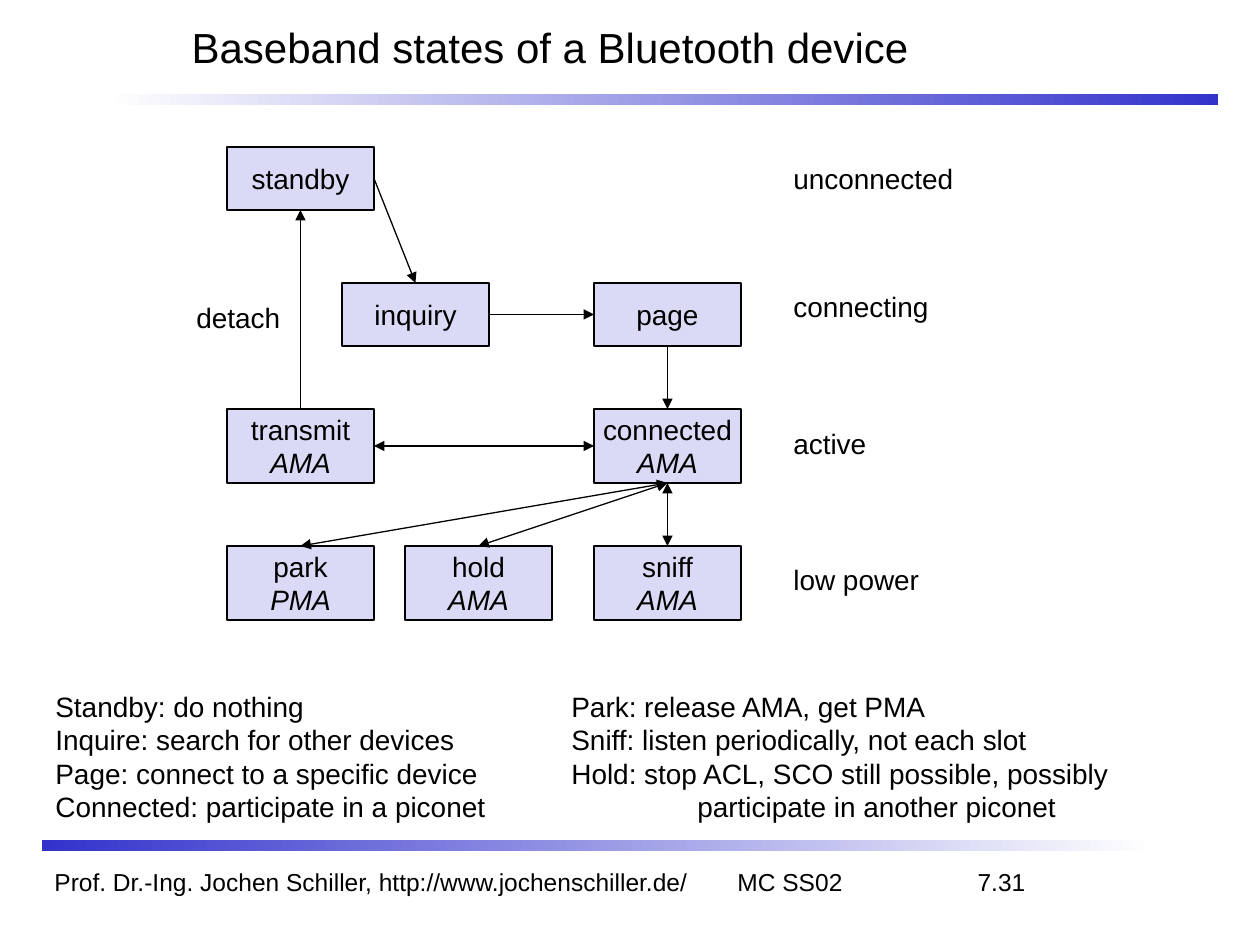
from lxml.etree import SubElement
from pptx import Presentation
from pptx.dml.color import RGBColor
from pptx.enum.shapes import MSO_CONNECTOR as Link, MSO_SHAPE as Shape
from pptx.enum.text import MSO_ANCHOR as Anchor, MSO_AUTO_SIZE as Fit, PP_ALIGN as Align
from pptx.oxml.ns import qn
from pptx.util import Pt

PX = 914400 / 126
HUES = {"ink": "000000", "box": "DADAF6", "bar": "3333CC", "paper": "FFFFFF"}
FONT = "Arial"
TOP, LEFT, BOTTOM, RIGHT = range(4)

# name: (left, top, height, address line)
STATES = {
    "standby": (0, 0, 63, None),
    "inquiry": (115, 136, 63, None),
    "page": (367, 136, 63, None),
    "connected": (367, 262, 74, "AMA"),
    "transmit": (0, 262, 74, "AMA"),
    "park": (0, 399, 74, "PMA"),
    "hold": (178, 399, 74, "AMA"),
    "sniff": (367, 399, 74, "AMA"),
}
# start, side, end, side, both ways
MOVES = [
    ("standby", RIGHT, "inquiry", TOP, False),
    ("inquiry", RIGHT, "page", LEFT, False),
    ("page", BOTTOM, "connected", TOP, False),
    ("transmit", TOP, "standby", BOTTOM, False),
    ("park", TOP, "connected", BOTTOM, True),
    ("hold", TOP, "connected", BOTTOM, True),
    ("sniff", TOP, "connected", BOTTOM, True),
    ("transmit", RIGHT, "connected", LEFT, True),
]
# text, left, top, width
LABELS = [
    ("unconnected", 554, 8, 190),
    ("connecting", 554, 136, 165),
    ("active", 554, 273, 103),
    ("low power", 554, 409, 156),
    ("detach", -43, 147, 114),
]
NOTES = [
    "Standby: do nothing",
    "Inquire: search for other devices",
    "Page: connect to a specific device",
    "Connected: participate in a piconet",
]
MODES = [
    "Park: release AMA, get PMA",
    "Sniff: listen periodically, not each slot",
    "Hold: stop ACL, SCO still possible, possibly\n\tparticipate in another piconet",
]


def emu(*sizes):
    return [round(size * PX) for size in sizes]


def hue(name):
    return RGBColor.from_string(HUES[name])


def style(run, size, slant=False):
    font = run.font
    font.name, font.size, font.italic = FONT, Pt(size), slant
    font.color.rgb = hue("ink")


def tabs(para, stops):
    """Set tab stops given as (px, alignment) pairs."""
    items = SubElement(para._p.get_or_add_pPr(), qn("a:tabLst"))
    for pos, side in stops:
        SubElement(items, qn("a:tab"), pos=str(emu(pos)[0]), algn=side)


def write(frame, lines, size=16, align=Align.LEFT, stops=()):
    """Write (text, slant) lines as paragraphs; a newline is a line break."""
    for i, (text, slant) in enumerate(lines):
        para = frame.paragraphs[0] if i == 0 else frame.add_paragraph()
        para.alignment = align
        if stops:
            tabs(para, stops)
        for j, part in enumerate(text.split("\n")):
            if j:
                para.add_line_break()
            run = para.add_run()
            run.text = part
            style(run, size, slant)


def note(slide, box, lines, size=16, wrap=False, stops=()):
    frame = slide.shapes.add_textbox(*emu(*box)).text_frame
    frame.word_wrap = wrap
    frame.auto_size = Fit.NONE if wrap else Fit.SHAPE_TO_FIT_TEXT
    write(frame, [(line, False) for line in lines], size, stops=stops)


def bar(slide, box, start, end):
    shape = slide.shapes.add_shape(Shape.RECTANGLE, *emu(*box))
    shape.shadow.inherit = False
    shape.line.fill.background()
    shape.fill.gradient()
    shape.fill.gradient_angle = 0
    for stop, name, pos in zip(shape.fill.gradient_stops, (start, end), (0, 1)):
        stop.color.rgb = hue(name)
        stop.position = pos


def state(slide, box, name, code):
    shape = slide.shapes.add_shape(Shape.RECTANGLE, *emu(*box))
    shape.shadow.inherit = False
    shape.fill.solid()
    shape.fill.fore_color.rgb = hue("box")
    shape.line.color.rgb = hue("ink")
    shape.line.width = Pt(0.75)
    frame = shape.text_frame
    frame.word_wrap = False
    frame.vertical_anchor = Anchor.MIDDLE
    lines = [(name, False)] + ([(code, True)] if code else [])
    write(frame, lines, align=Align.CENTER)
    return shape


def arrow(slide, start, out, end, into, both):
    line = slide.shapes.add_connector(Link.STRAIGHT, 0, 0, 0, 0)
    line.begin_connect(start, out)
    line.end_connect(end, into)
    line.line.color.rgb = hue("ink")
    line.line.width = Pt(0.75)
    ln = line.line._get_or_add_ln()
    for tip in ["headEnd", "tailEnd"] if both else ["tailEnd"]:
        SubElement(ln, qn(f"a:{tip}"), type="triangle")
    SubElement(line._element.spPr, qn("a:effectLst"))


def header(slide, x, y, w):
    bar(slide, (x, y + 94, w, 11), "paper", "bar")
    title = slide.shapes.title
    title.left, title.top, title.width, title.height = emu(x + 74, y, 1061, 94)
    frame = title.text_frame
    frame.auto_size = Fit.NONE
    frame.vertical_anchor = Anchor.MIDDLE
    write(frame, [("Baseband states of a Bluetooth device", False)], 24)


def diagram(slide, x, y):
    boxes = {
        name: state(slide, (x + dx, y + dy, 147, h), name, code)
        for name, (dx, dy, h, code) in STATES.items()
    }
    for text, dx, dy, w in LABELS:
        note(slide, (x + dx, y + dy, w, 47), [text])
    for start, out, end, into, both in MOVES:
        arrow(slide, boxes[start], out, boxes[end], into, both)


def legend(slide, x, y):
    stops = [(126, "l")]
    note(slide, (x, y, 460, 147), NOTES)
    note(slide, (x + 516, y, 576, 147), MODES, stops=stops)


def footer(slide, x, y, w):
    bar(slide, (x, y, w, 11), "bar", "paper")
    text = "Prof. Dr.-Ing. Jochen Schiller, http://www.jochenschiller.de/\tMC SS02\t7.31"
    stops = [(683, "l"), (971, "r")]
    note(slide, (x, y + 21, 1103, 42), [text], 14, True, stops)


def main():
    deck = Presentation()
    deck.slide_width, deck.slide_height = emu(1260, 945)
    slide = deck.slides.add_slide(deck.slide_layouts[5])
    header(slide, 105, 0, 1113)
    diagram(slide, 227, 147)
    legend(slide, 43, 683)
    footer(slide, 42, 840, 1113)
    deck.save("out.pptx")


if __name__ == "__main__":
    main()
